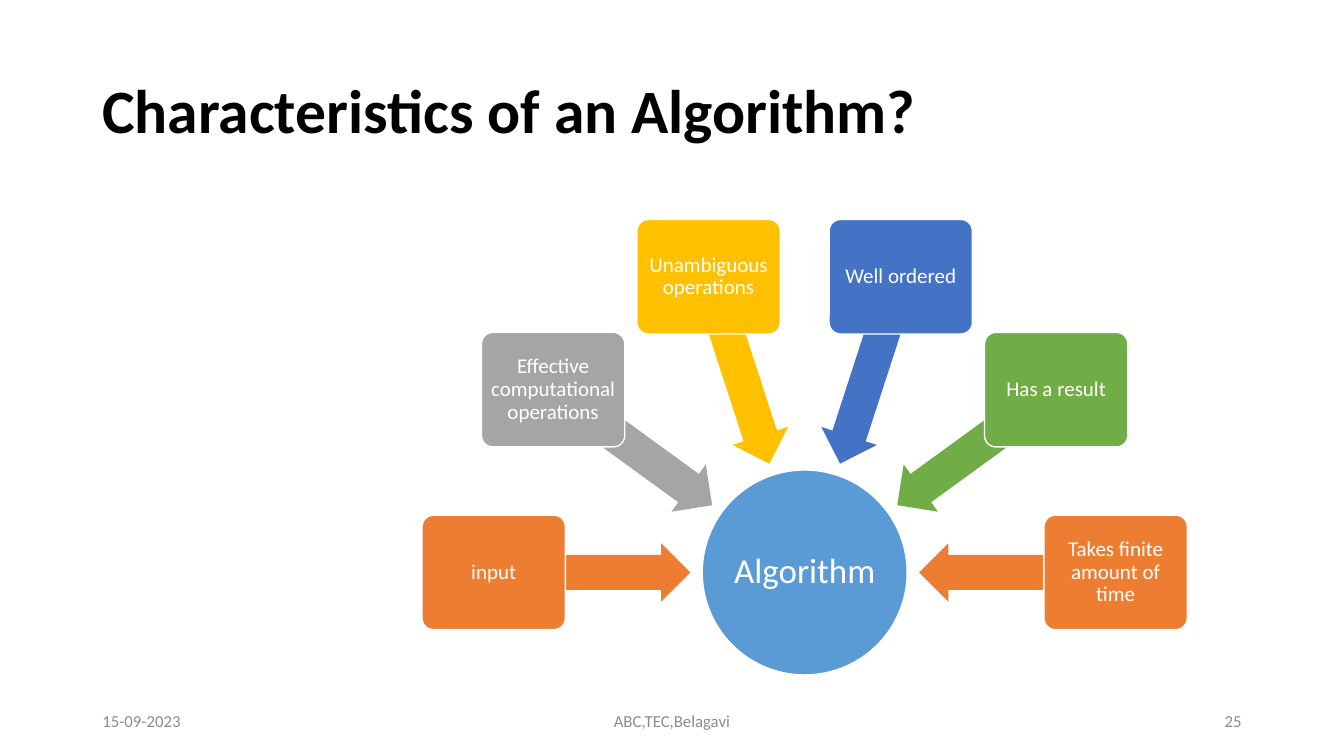
"""Build a slide on the characteristics of an algorithm, as boxes pointing at a hub."""
import math

from pptx import Presentation
from pptx.dml.color import RGBColor
from pptx.enum import shapes, text
from pptx.util import Pt

BLACK = RGBColor(0x00, 0x00, 0x00)
WHITE = RGBColor(0xFF, 0xFF, 0xFF)
FOOTER_GRAY = RGBColor(0x8C, 0x8C, 0x8C)
BLUE = RGBColor(0x5B, 0x9B, 0xD5)
ORANGE = RGBColor(0xED, 0x7D, 0x31)
GRAY = RGBColor(0xA5, 0xA5, 0xA5)
GOLD = RGBColor(0xFF, 0xC0, 0x00)
ROYAL = RGBColor(0x44, 0x72, 0xC4)
GREEN = RGBColor(0x70, 0xAD, 0x47)

TITLE = "Characteristics of an Algorithm?"
HUB = "Algorithm"
CHARACTERISTICS = [
    ("input", ORANGE),
    ("Effective computational operations", GRAY),
    ("Unambiguous operations", GOLD),
    ("Well ordered", ROYAL),
    ("Has a result", GREEN),
    ("Takes finite amount of time", ORANGE),
]
LEFT, CENTER, RIGHT = text.PP_ALIGN.LEFT, text.PP_ALIGN.CENTER, text.PP_ALIGN.RIGHT
FOOTERS = [
    ("15-09-2023", 66, 216, LEFT),
    ("ABC,TEC,Belagavi", 318, 324, CENTER),
    ("25", 678, 216, RIGHT),
]

HUB_X, HUB_Y = 574.8, 408.9
HUB_SIZE = (146.4, 146.4)
BOX_SIZE, BOX_RADIUS = (102.4, 81.8), 222.1
ARROW_SIZE, ARROW_RADIUS = (140.4, 41.7), 151.9
START_ANGLE = 180
STEP_ANGLE = 180 / (len(CHARACTERISTICS) - 1)


def write(shape, wording, size, color, align, spacing=1.0, bold=False):
    frame = shape.text_frame
    frame.word_wrap = True
    frame.vertical_anchor = text.MSO_ANCHOR.MIDDLE
    paragraph = frame.paragraphs[0]
    paragraph.text = wording
    paragraph.alignment = align
    paragraph.line_spacing = spacing
    font = paragraph.font
    font.name, font.size, font.bold = "Calibri", Pt(size), bold
    font.color.rgb = color


def add_label(slide, left, top, width, height, wording, *style, **options):
    label = slide.shapes.add_textbox(Pt(left), Pt(top), Pt(width), Pt(height))
    write(label, wording, *style, **options)


def add_centered(slide, preset, center, size, fill):
    (x, y), (width, height) = center, size
    part = slide.shapes.add_shape(
        preset, Pt(x - width / 2), Pt(y - height / 2), Pt(width), Pt(height))
    part.shadow.inherit = False
    part.fill.solid()
    part.fill.fore_color.rgb = fill
    part.line.fill.background()
    return part


def add_node(slide, preset, center, size, fill, wording, font_size, inset):
    node = add_centered(slide, preset, center, size, fill)
    node.line.color.rgb = WHITE
    node.line.width = Pt(1)
    frame = node.text_frame
    frame.margin_left = frame.margin_right = Pt(inset)
    frame.margin_top = frame.margin_bottom = Pt(inset)
    write(node, wording, font_size, WHITE, CENTER, spacing=0.9)
    return node


def around_hub(angle, radius):
    turn = math.radians(angle)
    return HUB_X + radius * math.cos(turn), HUB_Y + radius * math.sin(turn)


def main():
    deck = Presentation()
    deck.slide_width, deck.slide_height = Pt(960), Pt(540)
    slide = deck.slides.add_slide(deck.slide_layouts[6])

    add_label(slide, 66, 28.8, 828, 104.4, TITLE, 44, BLACK, LEFT, spacing=0.9, bold=True)
    hub = add_node(slide, shapes.MSO_SHAPE.OVAL, (HUB_X, HUB_Y), HUB_SIZE, BLUE, HUB, 25, 0)
    hub.text_frame.word_wrap = False

    for index, (wording, color) in enumerate(CHARACTERISTICS):
        angle = START_ANGLE + index * STEP_ANGLE
        arrow = add_centered(slide, shapes.MSO_SHAPE.LEFT_ARROW,
                             around_hub(angle, ARROW_RADIUS), ARROW_SIZE, color)
        arrow.rotation = angle % 360
        arrow.adjustments[0] = 0.6
        arrow.adjustments[1] = 0.5
        box = add_node(slide, shapes.MSO_SHAPE.ROUNDED_RECTANGLE,
                       around_hub(angle, BOX_RADIUS), BOX_SIZE, color, wording, 15, 2.2)
        box.adjustments[0] = 0.1

    for wording, left, width, align in FOOTERS:
        add_label(slide, left, 500.5, width, 28.75, wording, 12, FOOTER_GRAY, align)

    deck.save("out.pptx")


if __name__ == "__main__":
    main()
